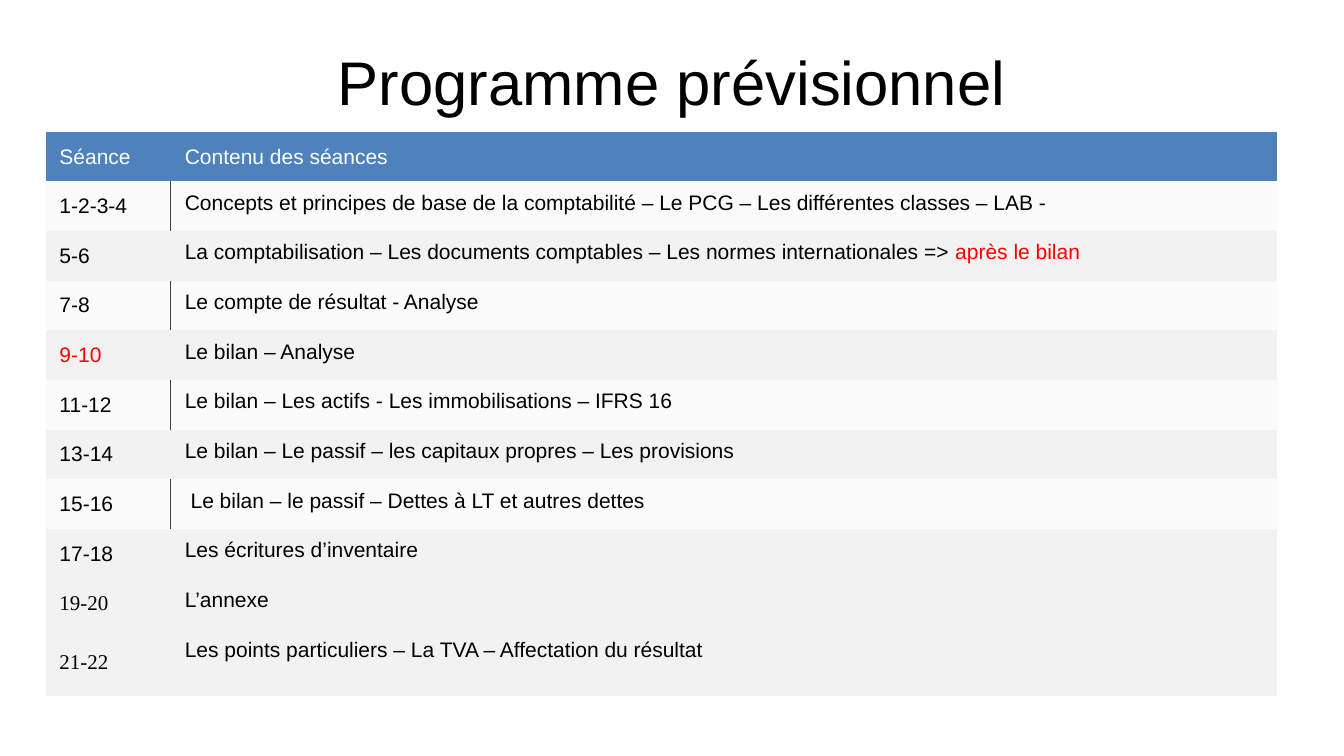
from lxml import etree
from pptx import Presentation
from pptx import util as u
from pptx.dml.color import RGBColor
from pptx.enum import text
from pptx.oxml import ns

BLACK = RGBColor(0x00, 0x00, 0x00)
WHITE = RGBColor(0xFF, 0xFF, 0xFF)
RED = RGBColor(0xFF, 0x00, 0x00)
BLUE = RGBColor(0x4F, 0x81, 0xBD)
GREY = RGBColor(0xF2, 0xF2, 0xF2)
DARK_GREY = RGBColor(0x40, 0x40, 0x40)

EMU_PER_PX = 6350
SANS = "Arial"
SERIF = "Times New Roman"
PLAIN_STYLE = "{2D5ABB26-0587-4C30-8999-92F81FD0307C}"

HEADINGS = ("Séance", "Contenu des séances")
SESSIONS = [
    ("1-2-3-4", "Concepts et principes de base de la comptabilité – Le PCG – Les différentes classes – LAB -"),
    ("5-6", "La comptabilisation – Les documents comptables – Les normes internationales => "),
    ("7-8", "Le compte de résultat - Analyse"),
    ("9-10", "Le bilan – Analyse"),
    ("11-12", "Le bilan – Les actifs - Les immobilisations – IFRS 16"),
    ("13-14", "Le bilan – Le passif – les capitaux propres – Les provisions"),
    ("15-16", " Le bilan – le passif – Dettes à LT et autres dettes"),
    ("17-18", "Les écritures d’inventaire"),
    ("19-20", "L’annexe"),
    ("21-22", "Les points particuliers – La TVA – Affectation du résultat"),
]
RED_NOTES = {"5-6": "après le bilan"}
RED_SESSIONS = {"9-10"}
SERIF_SESSIONS = {"19-20", "21-22"}
DIVIDED_SESSIONS = {"1-2-3-4", "7-8", "11-12", "15-16"}


def px(length):
    return u.Emu(length * EMU_PER_PX)


def write(paragraph, wording, size=15, font=SANS, color=BLACK, align=text.PP_ALIGN.LEFT):
    paragraph.alignment = align
    run = paragraph.add_run()
    run.text = wording
    run.font.size = u.Pt(size)
    run.font.name = font
    run.font.color.rgb = color


class SlideBuilder:
    def __init__(self, deck):
        self.slide = deck.slides.add_slide(deck.slide_layouts[5])

    def title(self, wording, left, top, width, height):
        heading = self.slide.shapes.title
        heading.left, heading.top = px(left), px(top)
        heading.width, heading.height = px(width), px(height)
        heading.text_frame.vertical_anchor = text.MSO_ANCHOR.MIDDLE
        write(heading.text_frame.paragraphs[0], wording, size=44, align=text.PP_ALIGN.CENTER)

    def table(self, left, top, widths, heights):
        frame = self.slide.shapes.add_table(
            len(heights), len(widths), px(left), px(top), px(sum(widths)), px(sum(heights)))
        grid = frame.table
        grid.horz_banding = False
        grid._tbl.tblPr.find(ns.qn("a:tableStyleId")).text = PLAIN_STYLE
        for column, width in zip(grid.columns, widths):
            column.width = px(width)
        for row, height in zip(grid.rows, heights):
            row.height = px(height)
        return grid

    def cell(self, cell, wording, fill, anchor=text.MSO_ANCHOR.MIDDLE, **style):
        cell.margin_left, cell.margin_right = px(20), px(12)
        cell.margin_top = cell.margin_bottom = px(14)
        cell.vertical_anchor = anchor
        cell.fill.solid()
        cell.fill.fore_color.rgb = fill
        write(cell.text_frame.paragraphs[0], wording, **style)

    def lighten(self, cell, percent):
        color = cell._tc.tcPr.find(f".//{ns.qn('a:srgbClr')}")
        etree.SubElement(color, ns.qn("a:alpha"), val=str(percent * 1000))

    def border(self, cell, side):
        line = etree.Element(ns.qn(f"a:{side}"), w=str(u.Pt(0.5)))
        solid = etree.SubElement(line, ns.qn("a:solidFill"))
        etree.SubElement(solid, ns.qn("a:srgbClr"), val=str(DARK_GREY))
        cell._tc.tcPr.insert(0, line)


def main():
    deck = Presentation()
    deck.slide_width, deck.slide_height = px(1920), px(1080)
    builder = SlideBuilder(deck)
    builder.title("Programme prévisionnel", 96, 43, 1728, 144)

    heights = [70] + [71] * (len(SESSIONS) - 1) + [96]
    programme = builder.table(65, 189, [179, 1581], heights)
    for column, heading in enumerate(HEADINGS):
        builder.cell(programme.cell(0, column), heading, BLUE, color=WHITE)

    for row, (session, content) in enumerate(SESSIONS, start=1):
        session_cell, content_cell = programme.cell(row, 0), programme.cell(row, 1)
        builder.cell(session_cell, session, GREY,
                     font=SERIF if session in SERIF_SESSIONS else SANS,
                     color=RED if session in RED_SESSIONS else BLACK)
        builder.cell(content_cell, content, GREY,
                     anchor=text.MSO_ANCHOR.TOP, align=text.PP_ALIGN.JUSTIFY)
        if session in RED_NOTES:
            write(content_cell.text_frame.paragraphs[0], RED_NOTES[session],
                  color=RED, align=text.PP_ALIGN.JUSTIFY)
        if session in DIVIDED_SESSIONS:
            for cell, side in ((session_cell, "lnR"), (content_cell, "lnL")):
                builder.lighten(cell, 30)
                builder.border(cell, side)

    deck.save("out.pptx")


if __name__ == "__main__":
    main()
